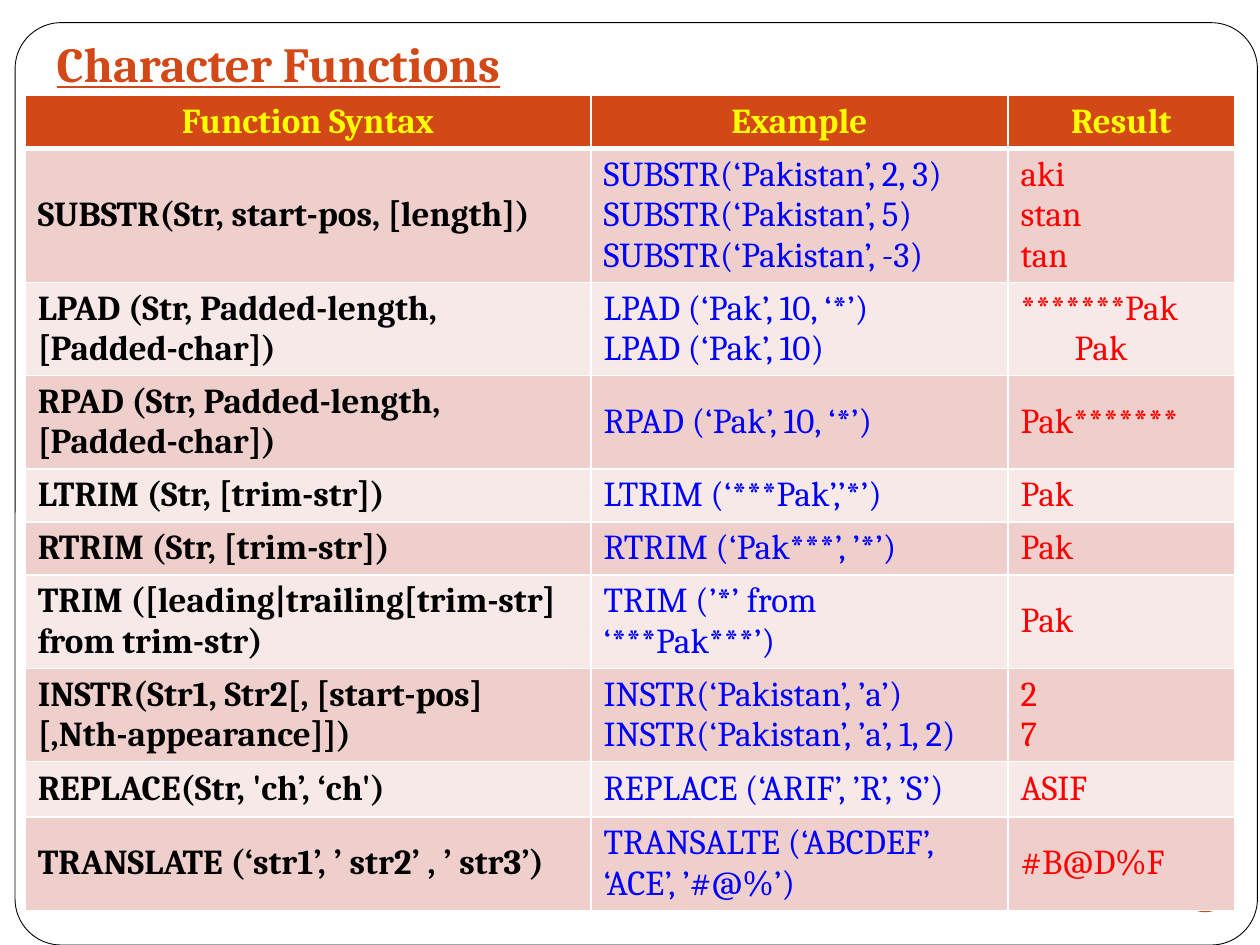
from dataclasses import dataclass

from lxml.etree import SubElement
from pptx import Presentation
from pptx.dml.color import RGBColor as RGB
from pptx.enum.shapes import MSO_SHAPE as SHAPE
from pptx.enum.text import MSO_ANCHOR as ANCHOR, MSO_AUTO_SIZE as AUTO, PP_ALIGN as ALIGN
from pptx.oxml.ns import qn
from pptx.util import Inches, Pt


@dataclass(frozen=True)
class Theme:
    font: str = "Cambria"
    title_size: int = 28
    cell_size: int = 20
    accent: str = "D34817"
    paper: str = "FFFFFF"
    frame: str = "000000"
    heading: str = "FFFF00"
    columns: tuple = ("000000", "0000FF", "FF0000")
    bands: tuple = ("EFCFCC", "F7E9E8")


THEME = Theme()
HEADERS = ("Function Syntax", "Example", "Result")
COL_WIDTHS = (4.49, 3.31, 1.8)
ROW_HEIGHTS = (0.41, 1.05, 0.74, 0.74, 0.41, 0.42, 0.74, 0.74, 0.44, 0.74)
PAD_INDENT = 0.43
FUNCTIONS = (
    ("SUBSTR(Str, start-pos, [length])",
     "SUBSTR(‘Pakistan’, 2, 3)\nSUBSTR(‘Pakistan’, 5)\nSUBSTR(‘Pakistan’, -3)",
     "aki\nstan\ntan"),
    ("LPAD (Str, Padded-length, [Padded-char])",
     "LPAD (‘Pak’, 10, ‘*’)\nLPAD (‘Pak’, 10)", "*******Pak\nPak"),
    ("RPAD (Str, Padded-length, [Padded-char])", "RPAD (‘Pak’, 10, ‘*’)", "Pak*******"),
    ("LTRIM (Str, [trim-str])", "LTRIM (‘***Pak’,’*’)", "Pak"),
    ("RTRIM (Str, [trim-str])", "RTRIM (‘Pak***’, ’*’)", "Pak"),
    ("TRIM ([leading|trailing[trim-str] from trim-str)", "TRIM (’*’ from ‘***Pak***’)", "Pak"),
    ("INSTR(Str1, Str2[, [start-pos] [,Nth-appearance]])",
     "INSTR(‘Pakistan’, ’a’)\nINSTR(‘Pakistan’, ’a’, 1, 2)", "2\n7"),
    ("REPLACE(Str, 'ch’, ‘ch')", "REPLACE (‘ARIF’, ’R’, ’S’)", "ASIF"),
    ("TRANSLATE (‘str1’, ’ str2’ , ’ str3’)", "TRANSALTE (‘ABCDEF’, ‘ACE’, ’#@%’)", "#B@D%F"),
)


def box_of(*values):
    return [Inches(v) for v in values]


def apply(obj, formats):
    for name, value in formats.items():
        setattr(obj, name, value)


def set_font(font, size, color, **formats):
    apply(font, {"name": THEME.font, "size": Pt(size), **formats})
    font.color.rgb = RGB.from_string(color)


def paint(obj, color):
    obj.fill.solid()
    obj.fill.fore_color.rgb = RGB.from_string(color)


def add_frame(s, box):
    sp = s.shapes.add_shape(SHAPE.ROUNDED_RECTANGLE, *box)
    sp.adjustments[0] = 0.05
    sp.shadow.inherit = False
    paint(sp, THEME.paper)
    sp.line.color.rgb = RGB.from_string(THEME.frame)
    sp.line.width = Pt(0.5)
    s.shapes.title.element.addprevious(sp.element)


def add_title(s, box, text):
    sp = s.shapes.title
    apply(sp, dict(zip(("left", "top", "width", "height"), box)))
    tf = sp.text_frame
    tf.text = text
    apply(tf, {"auto_size": AUTO.NONE, "word_wrap": True, "vertical_anchor": ANCHOR.BOTTOM,
               "margin_bottom": Inches(0.1)})
    p = tf.paragraphs[0]
    p.alignment = ALIGN.LEFT
    set_font(p.runs[0].font, THEME.title_size, THEME.accent, bold=True, underline=True)


def add_badge(s, box):
    sp = s.shapes.add_shape(SHAPE.OVAL, *box)
    sp.shadow.inherit = False
    paint(sp, THEME.accent)
    sp.line.fill.background()


def set_borders(cell, widths):
    tc_pr = cell._tc.get_or_add_tcPr()
    for side, width in zip("LRTB", widths):
        ln = SubElement(tc_pr, qn(f"a:ln{side}"), w=str(Pt(width)))
        SubElement(SubElement(ln, qn("a:solidFill")), qn("a:srgbClr"), val=THEME.paper)


def fill_cell(cell, text, fill, color, bold, align, borders):
    set_borders(cell, borders)
    paint(cell, fill)
    cell.vertical_anchor = ANCHOR.MIDDLE
    cell.text_frame.text = text
    for p in cell.text_frame.paragraphs:
        p.alignment = align
        set_font(p.runs[0].font, THEME.cell_size, color, bold=bold)


def add_functions_table(s, box):
    rows = (HEADERS,) + FUNCTIONS
    table = s.shapes.add_table(len(rows), len(HEADERS), *box).table
    for column, width in zip(table.columns, COL_WIDTHS):
        column.width = Inches(width)
    for row, height in zip(table.rows, ROW_HEIGHTS):
        row.height = Inches(height)
    for c, text in enumerate(HEADERS):
        fill_cell(table.cell(0, c), text, THEME.accent, THEME.heading, True,
                  ALIGN.CENTER, (1, 1, 1, 3))
    for r, texts in enumerate(FUNCTIONS, 1):
        for c, text in enumerate(texts):
            fill_cell(table.cell(r, c), text, THEME.bands[(r - 1) % 2], THEME.columns[c],
                      c == 0, ALIGN.LEFT, (1, 1, 3 if r == 1 else 1, 1))
    padded = table.cell(2, 2).text_frame.paragraphs[1]
    padded._p.get_or_add_pPr().set("marL", str(Inches(PAD_INDENT)))


def main():
    prs = Presentation()
    apply(prs, {"slide_width": Inches(10), "slide_height": Inches(7.5)})
    s = prs.slides.add_slide(prs.slide_layouts[5])
    add_frame(s, box_of(0.12, 0.18, 9.86, 7.32))
    add_title(s, box_of(0.35, 0.25, 7.09, 0.58), "Character Functions")
    add_badge(s, box_of(9.33, 6.74, 0.47, 0.5))
    add_functions_table(s, box_of(0.2, 0.76, sum(COL_WIDTHS), sum(ROW_HEIGHTS)))
    prs.save("out.pptx")


if __name__ == "__main__":
    main()
